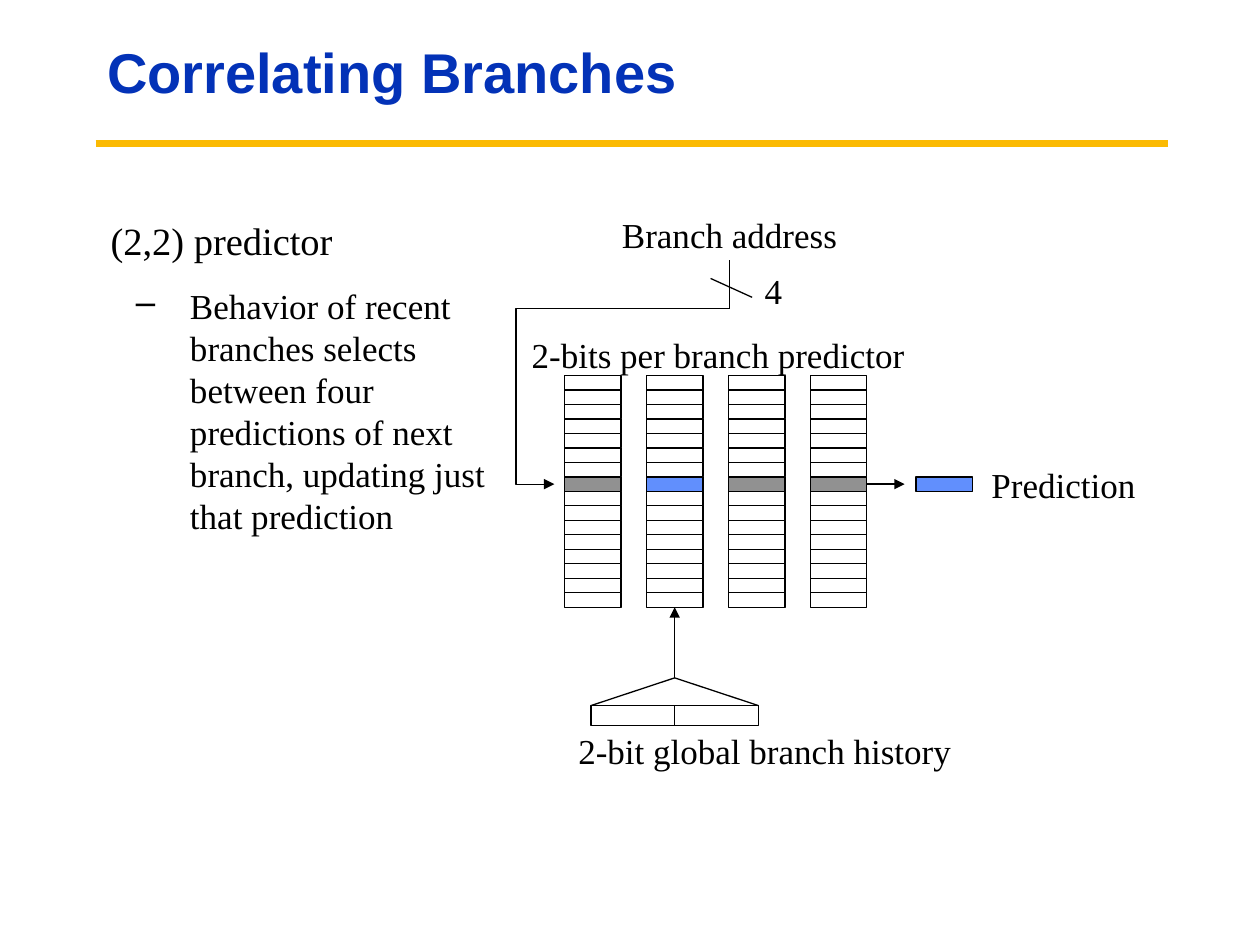
"""Build the slide on correlating branch predictors."""
from lxml import etree
from pptx import Presentation
from pptx import util as u
from pptx.dml.color import RGBColor
from pptx.enum import shapes as kinds, text
from pptx.oxml.ns import qn

CELL = u.Inches(0.1)
COLORS = {"title": "0332B7", "rule": "FBBA03", "ink": "000000",
          "row": "919191", "chosen": "618FFD"}
TABLES, ENTRIES, SELECTED_ENTRY, CHOSEN_TABLE = 4, 16, 7, 1
TABLE_LEFT, TABLE_TOP, TABLE_PITCH = 44.8, 29.8, 6.5
ENTRY_WIDTH, ENTRY_HEIGHT = 4.5, 1.15


def grid(*lengths):
    """Turn grid columns and rows into slide lengths."""
    return [u.Emu(round(length * CELL)) for length in lengths]


def color(name):
    """Look up a named colour."""
    return RGBColor.from_string(COLORS[name])


def style(paragraph, size, name="Times New Roman", ink="ink", bold=False):
    """Set the font of a whole paragraph."""
    font = paragraph.font
    font.size, font.name, font.bold = u.Pt(size), name, bold
    font.color.rgb = color(ink)


def add_title(slide, words):
    """Place and format the title placeholder."""
    title = slide.shapes.title
    title.left, title.top, title.width, title.height = grid(7.5, 4.1, 79.8, 3.8)
    frame = title.text_frame
    frame.text = words
    frame.vertical_anchor = text.MSO_ANCHOR.MIDDLE
    frame.auto_size = text.MSO_AUTO_SIZE.NONE
    paragraph = frame.paragraphs[0]
    paragraph.alignment = text.PP_ALIGN.LEFT
    paragraph.line_spacing = 0.9
    style(paragraph, 32, "Arial", "title", True)


def add_label(slide, words, box, centered=True):
    """Add a one-line label, centred in its box or starting at its left."""
    frame = slide.shapes.add_textbox(*grid(*box)).text_frame
    frame.text = words
    frame.word_wrap = not centered
    paragraph = frame.paragraphs[0]
    if centered:
        frame.vertical_anchor = text.MSO_ANCHOR.MIDDLE
        paragraph.alignment = text.PP_ALIGN.CENTER
    style(paragraph, 20)


def add_explanation(slide, heading, detail):
    """Add the heading with its dashed point below."""
    frame = slide.shapes.add_textbox(*grid(7.8, 16.7, 33.3, 26.4)).text_frame
    frame.word_wrap = True
    frame.text = heading
    style(frame.paragraphs[0], 22)
    point = frame.add_paragraph()
    point.text = detail
    point.level = 1
    point.space_before = u.Pt(12.5)
    properties = point._p.get_or_add_pPr()
    properties.set("marL", str(u.Inches(0.63)))
    properties.set("indent", str(u.Inches(-0.43)))
    etree.SubElement(properties, qn("a:buChar"), char="–")
    style(point, 20)


def add_box(shapes, box, fill=None):
    """Add an outlined rectangle, empty unless a fill is named."""
    shape = shapes.add_shape(kinds.MSO_SHAPE.RECTANGLE, *grid(*box))
    shape.shadow.inherit = False
    shape.line.color.rgb = color("ink")
    shape.line.width = u.Pt(0.75)
    if fill:
        shape.fill.solid()
        shape.fill.fore_color.rgb = color(fill)
    else:
        shape.fill.background()
    return shape


def add_line(shapes, start, end, arrow=False, bend=None, ink="ink", width=0.75):
    """Add a connector, with an arrowhead or a bend position if asked."""
    kind = kinds.MSO_CONNECTOR.STRAIGHT if bend is None else kinds.MSO_CONNECTOR.ELBOW
    line = shapes.add_connector(kind, *grid(*start, *end))
    line.line.color.rgb = color(ink)
    line.line.width = u.Pt(width)
    properties = line._element.spPr
    if arrow:
        etree.SubElement(line.line._get_or_add_ln(), qn("a:tailEnd"), type="triangle")
    if bend is not None:
        guides = properties.find(qn("a:prstGeom")).get_or_add_avLst()
        etree.SubElement(guides, qn("a:gd"), name="adj1", fmla=f"val {round(bend * 100000)}")
    etree.SubElement(properties, qn("a:effectLst"))
    return line


def add_predictor_tables(slide):
    """Add the tables of entries and return them as lists of boxes."""
    tables = []
    for table in range(TABLES):
        left = TABLE_LEFT + table * TABLE_PITCH
        selected = "chosen" if table == CHOSEN_TABLE else "row"
        tables.append([
            add_box(slide.shapes,
                    (left, TABLE_TOP + entry * ENTRY_HEIGHT, ENTRY_WIDTH, ENTRY_HEIGHT),
                    selected if entry == SELECTED_ENTRY else None)
            for entry in range(ENTRIES)])
    return tables


def add_address_path(slide):
    """Lead the branch address to the selected row of entries."""
    row = TABLE_TOP + (SELECTED_ENTRY + 0.5) * ENTRY_HEIGHT
    add_line(slide.shapes, (57.9, 24.5), (57.9, 20.6))
    add_line(slide.shapes, (56.4, 22.1), (59.7, 23.6))
    add_line(slide.shapes, (57.9, 24.5), (44, row), arrow=True, bend=1.22)


def add_prediction(slide, entry):
    """Lead the selected row to the resulting prediction."""
    row = TABLE_TOP + SELECTED_ENTRY * ENTRY_HEIGHT
    middle = row + ENTRY_HEIGHT / 2
    add_line(slide.shapes, (68.8, middle), (71.8, middle), arrow=True).begin_connect(entry, 3)
    add_box(slide.shapes, (72.7, row, ENTRY_WIDTH, ENTRY_HEIGHT), "chosen")


def add_history(slide, entry):
    """Add the history register that selects a table from below."""
    center = TABLE_LEFT + CHOSEN_TABLE * TABLE_PITCH + ENTRY_WIDTH / 2
    apex, top, width, height = 53.8, 56, 13.3, 1.6
    bottom = TABLE_TOP + ENTRIES * ENTRY_HEIGHT
    add_line(slide.shapes, (center, apex), (center, bottom), arrow=True).end_connect(entry, 2)
    group = slide.shapes.add_group_shape().shapes
    register = add_box(group, (center - width / 2, top, width, height))
    for side in (-1, 1):
        add_line(group, (center, apex), (center + side * width / 2, top))
    divider = add_line(group, (center, top), (center, top + height))
    divider.begin_connect(register, 0)
    divider.end_connect(register, 2)


def main():
    """Build and save the presentation."""
    presentation = Presentation()
    presentation.slide_width, presentation.slide_height = grid(100, 75)
    slide = presentation.slides.add_slide(presentation.slide_layouts[5])
    add_line(slide.shapes, (7.6, 11.4), (92.7, 11.4), ink="rule", width=3.75)
    add_title(slide, "Correlating Branches")
    add_explanation(slide, "(2,2) predictor",
                    "Behavior of recent branches selects between four predictions "
                    "of next branch, updating just that prediction")
    add_label(slide, "Branch address", (46.4, 17.1, 23, 3.1))
    add_label(slide, "2-bits per branch predictor", (39.5, 26.5, 35, 3.3))
    tables = add_predictor_tables(slide)
    add_address_path(slide)
    add_label(slide, "4", (59.7, 20.9, 3.7, 4.4), centered=False)
    add_prediction(slide, tables[-1][SELECTED_ENTRY])
    add_label(slide, "Prediction", (77.7, 36.3, 14.8, 4.4), centered=False)
    add_history(slide, tables[CHOSEN_TABLE][-1])
    add_label(slide, "2-bit global branch history", (44.2, 57.8, 33, 3.5))
    presentation.save("out.pptx")


if __name__ == "__main__":
    main()
